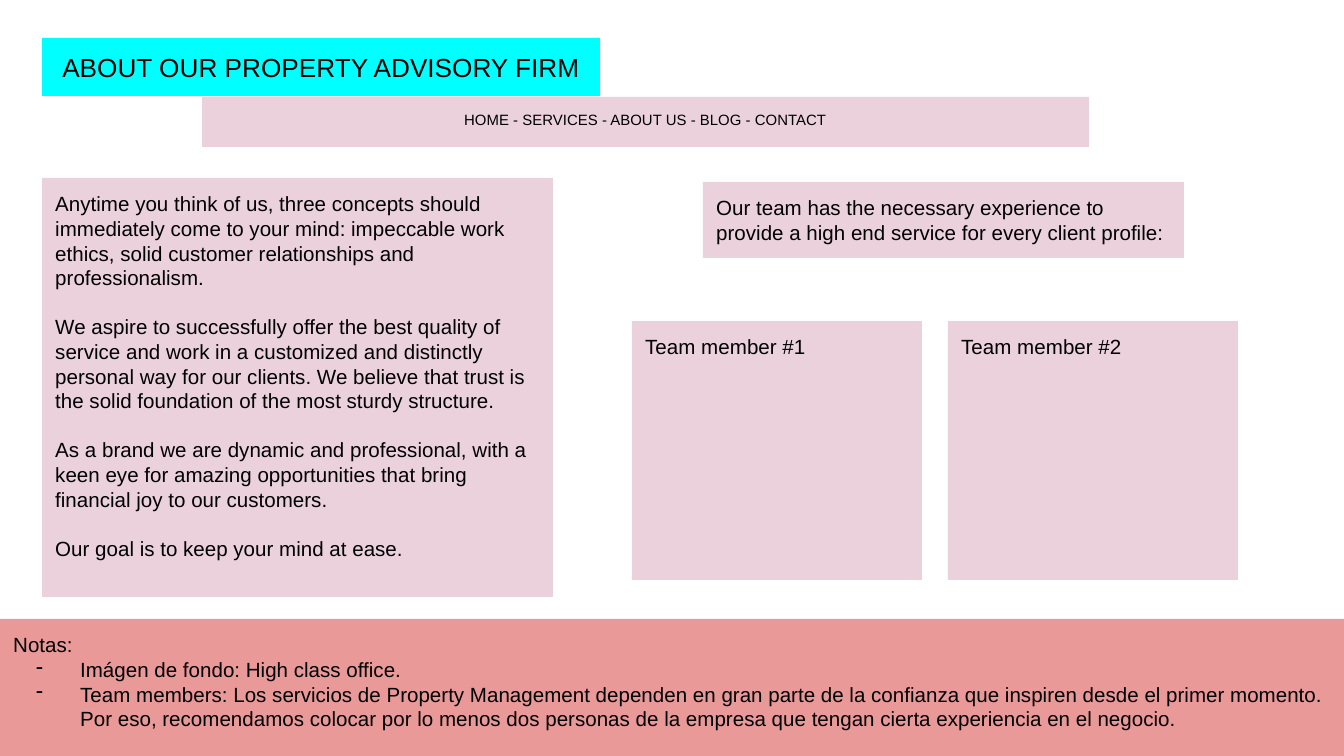
"""Build the About page wireframe slide with its notes band."""
from dataclasses import dataclass

from lxml.etree import SubElement
from pptx import Presentation
from pptx.dml.color import RGBColor as RGB
from pptx.enum.shapes import MSO_SHAPE as SHAPE
from pptx.enum.text import MSO_ANCHOR as ANCHOR, MSO_AUTO_SIZE as AUTO_SIZE, PP_ALIGN as ALIGN
from pptx.oxml.ns import qn
from pptx.util import Emu, Pt


@dataclass(frozen=True)
class Theme:
    cyan: RGB = RGB.from_string("00FFFF")
    pink: RGB = RGB.from_string("EAD1DC")
    coral: RGB = RGB.from_string("EA9999")
    ink: RGB = RGB.from_string("000000")
    font: str = "Arial"
    title: int = 14
    body: int = 11
    menu: int = 8
    gap: int = 13


theme = Theme()


def px(value):
    return Emu(round(value * 914400 / 134.4))


def fill_panel(panel, paragraphs, fill=theme.pink, size=theme.body, align=ALIGN.LEFT, gap=0, dashed_from=None):
    panel.fill.solid()
    panel.fill.fore_color.rgb = fill
    panel.line.fill.background()
    frame = panel.text_frame
    frame.word_wrap = True
    frame.auto_size = AUTO_SIZE.NONE
    frame.vertical_anchor = ANCHOR.TOP
    frame.margin_left = frame.margin_right = frame.margin_top = frame.margin_bottom = Pt(7.2)
    for index, text in enumerate(paragraphs):
        paragraph = frame.paragraphs[0] if index == 0 else frame.add_paragraph()
        paragraph.alignment = align
        paragraph.space_after = Pt(gap)
        run = paragraph.add_run()
        run.text = text
        run.font.name = theme.font
        run.font.size = Pt(size)
        run.font.color.rgb = theme.ink
        if dashed_from is not None and index >= dashed_from:
            properties = paragraph._p.get_or_add_pPr()
            properties.set("marL", str(px(67)))
            properties.set("indent", str(-px(44)))
            SubElement(properties, qn("a:buChar"), char="-")


deck = Presentation()
deck.slide_width, deck.slide_height = px(1344), px(756)
slide = deck.slides.add_slide(deck.slide_layouts[5])

title = slide.shapes.title
title.left, title.top, title.width, title.height = px(42), px(38), px(558), px(58)
fill_panel(title, ["ABOUT OUR PROPERTY ADVISORY FIRM"], fill=theme.cyan, size=theme.title, align=ALIGN.CENTER)

about = [
    "Anytime you think of us, three concepts should immediately come to your mind: impeccable work ethics, "
    "solid customer relationships and professionalism.",
    "We aspire to successfully offer the best quality of service and work in a customized and distinctly "
    "personal way for our clients. We believe that trust is the solid foundation of the most sturdy structure.",
    "As a brand we are dynamic and professional, with a keen eye for amazing opportunities that bring "
    "financial joy to our customers.",
    "Our goal is to keep your mind at ease.",
]
team_intro = ["Our team has the necessary experience to provide a high end service for every client profile:"]
notes = [
    "Notas:",
    "Imágen de fondo: High class office.",
    "Team members: Los servicios de Property Management dependen en gran parte de la confianza que inspiren "
    "desde el primer momento. Por eso, recomendamos colocar por lo menos dos personas de la empresa que "
    "tengan cierta experiencia en el negocio.",
]
menu = ["HOME - SERVICES - ABOUT US - BLOG - CONTACT"]
members = [((632 + 316 * i, 321, 290, 259), [f"Team member #{i + 1}"], {}) for i in range(2)]

panels = [
    ((42, 178, 511, 419), about, {"gap": theme.gap}),
    ((703, 182, 481, 76), team_intro, {}),
    *members,
    ((0, 619, 1344, 137), notes, {"fill": theme.coral, "dashed_from": 1}),
    ((202, 97, 887, 50), menu, {"size": theme.menu, "align": ALIGN.CENTER}),
]
for box, paragraphs, style in panels:
    panel = slide.shapes.add_shape(SHAPE.RECTANGLE, *map(px, box))
    panel.shadow.inherit = False
    fill_panel(panel, paragraphs, **style)

deck.save("out.pptx")
